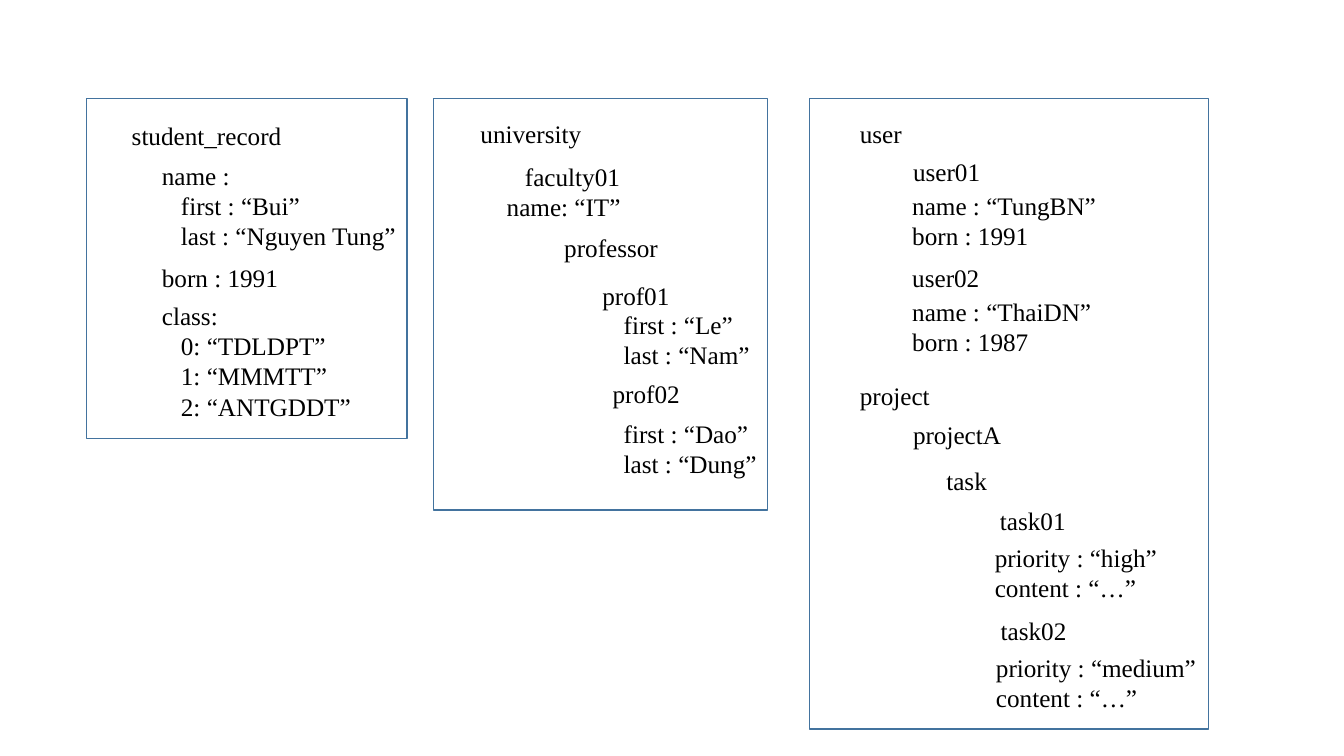
import dataclasses

import pptx
import pptx.dml.color
import pptx.enum.shapes
import pptx.enum.text
import pptx.util
from pptx.util import Cm


@dataclasses.dataclass(frozen=True)
class Theme:
    """Colours, type and spacing shared by the slide."""
    font: str = "Times New Roman"
    size: int = 18
    ink: str = "000000"
    outline: str = "43739E"
    outline_width: int = 1
    first_line: float = 1.02
    next_line: float = 0.77
    nested_indent: float = 0.48


@dataclasses.dataclass(frozen=True)
class Entry:
    """A label with its nested lines, in cm from its panel's corner."""
    left: float
    top: float
    width: float
    lines: tuple
    nested: tuple = ()


THEME = Theme()
PANEL_TOP = 2.49

STUDENT = (
    Entry(0.89, 0.41, 4.42, ("student_record",)),
    Entry(1.65, 1.42, 6.45, ("name :",), ("first : “Bui”", "last : “Nguyen Tung”")),
    Entry(1.65, 3.99, 3.48, ("born : 1991",)),
    Entry(1.65, 4.95, 5.31, ("class:",), ("0: “TDLDPT”", "1: “MMMTT”", "2: “ANTGDDT”")),
)
UNIVERSITY = (
    Entry(0.94, 0.36, 3.07, ("university",)),
    Entry(2.06, 1.45, 2.95, ("faculty01",)),
    Entry(1.6, 2.21, 3.4, ("name: “IT”",)),
    Entry(3.05, 3.25, 2.9, ("professor",)),
    Entry(4.01, 4.45, 2.24, ("prof01",)),
    Entry(4.55, 5.18, 3.71, ("first : “Le”", "last : “Nam”")),
    Entry(4.27, 6.91, 2.24, ("prof02",)),
    Entry(4.55, 7.92, 3.89, ("first : “Dao”", "last : “Dung”")),
)
USER_PROJECT = (
    Entry(1.02, 0.36, 1.57, ("user",)),
    Entry(2.36, 1.32, 2.24, ("user01",)),
    Entry(2.34, 2.18, 5.18, ("name : “TungBN”", "born : 1991")),
    Entry(2.34, 3.99, 2.24, ("user02",)),
    Entry(2.34, 4.85, 5.08, ("name : “ThaiDN”", "born : 1987")),
    Entry(1.02, 6.96, 2.29, ("project",)),
    Entry(2.36, 7.95, 2.77, ("projectA",)),
    Entry(3.2, 9.12, 1.55, ("task",)),
    Entry(4.55, 10.11, 2.18, ("task01",)),
    Entry(4.42, 11.05, 4.65, ("priority : “high”", "content : “…”")),
    Entry(4.57, 12.9, 2.18, ("task02",)),
    Entry(4.45, 13.82, 5.61, ("priority : “medium”", "content : “…”")),
)
PANELS = (
    (2.18, 8.08, 8.56, STUDENT),
    (10.92, 8.43, 10.36, UNIVERSITY),
    (20.4, 10.06, 15.88, USER_PROJECT),
)


def add_entry(page, left, top, entry):
    """Place one entry relative to the corner of its panel."""
    lines = entry.lines + entry.nested
    height = THEME.first_line + THEME.next_line * (len(lines) - 1)
    box = page.shapes.add_textbox(
        Cm(left + entry.left), Cm(top + entry.top), Cm(entry.width), Cm(height))
    frame = box.text_frame
    frame.text = "\n".join(lines)
    frame.word_wrap = False
    frame.auto_size = pptx.enum.text.MSO_AUTO_SIZE.SHAPE_TO_FIT_TEXT
    for index, para in enumerate(frame.paragraphs):
        if index >= len(entry.lines):
            para._p.get_or_add_pPr().set("marL", str(Cm(THEME.nested_indent)))
        for span in para.runs:
            span.font.name = THEME.font
            span.font.size = pptx.util.Pt(THEME.size)
            span.font.color.rgb = pptx.dml.color.RGBColor.from_string(THEME.ink)


def add_panel(page, left, top, width, height, entries):
    """Draw an outlined panel and the entries inside it."""
    panel = page.shapes.add_shape(
        pptx.enum.shapes.MSO_SHAPE.RECTANGLE, Cm(left), Cm(top), Cm(width), Cm(height))
    panel.shadow.inherit = False
    panel.fill.background()
    panel.line.color.rgb = pptx.dml.color.RGBColor.from_string(THEME.outline)
    panel.line.width = pptx.util.Pt(THEME.outline_width)
    for entry in entries:
        add_entry(page, left, top, entry)


def main():
    """Build the slide of three data trees and save it."""
    deck = pptx.Presentation()
    deck.slide_width, deck.slide_height = Cm(33.87), Cm(19.05)
    page = deck.slides.add_slide(deck.slide_layouts[6])
    for left, width, height, entries in PANELS:
        add_panel(page, left, PANEL_TOP, width, height, entries)
    deck.save("out.pptx")


if __name__ == "__main__":
    main()
